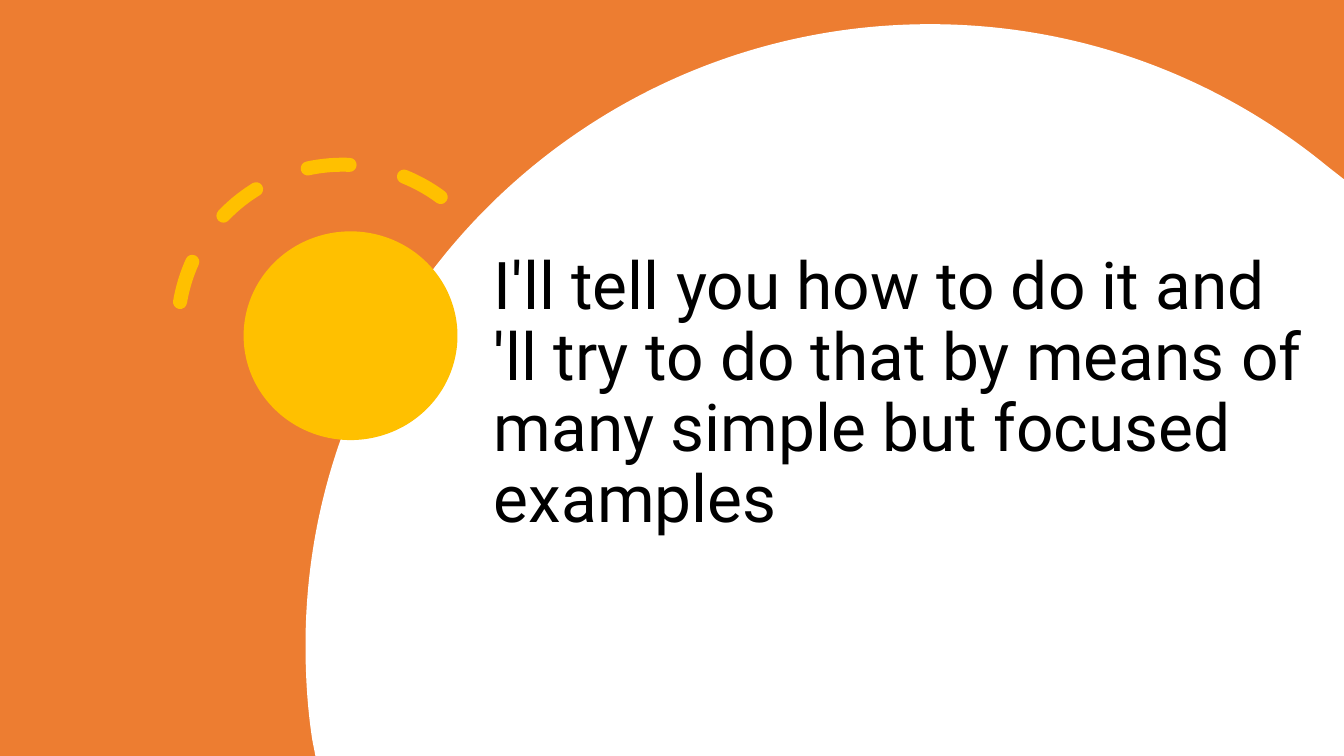
import pptx
import pptx.dml.color
import pptx.enum.dml
import pptx.enum.shapes
import pptx.enum.text
import pptx.oxml.ns
import pptx.util

Cm = pptx.util.Cm
Pt = pptx.util.Pt
SHAPE = pptx.enum.shapes.MSO_SHAPE
WIDTH, HEIGHT = 33.87, 19.05
ORANGE, GOLD, WHITE, BLACK = "ED7D31", "FFC000", "FFFFFF", "000000"


def rgb(value):
    return pptx.dml.color.RGBColor.from_string(value)


def apply(target, values):
    for name, value in values.items():
        setattr(target, name, value)


class Deck:
    font = {"name": "Roboto", "size": Pt(47), "bold": False}
    paragraph = {"alignment": pptx.enum.text.PP_ALIGN.LEFT, "line_spacing": 0.9}
    frame = {
        "word_wrap": True,
        "auto_size": pptx.enum.text.MSO_AUTO_SIZE.NONE,
        "vertical_anchor": pptx.enum.text.MSO_ANCHOR.BOTTOM,
    }

    def __init__(self, prs):
        self.s = prs.slides.add_slide(prs.slide_layouts[5])

    def paint(self, sp, color):
        sp.shadow.inherit = False
        sp.fill.solid()
        sp.fill.fore_color.rgb = rgb(color)
        sp.line.fill.background()

    def shape(self, kind, box, color):
        sp = self.s.shapes.add_shape(kind, *map(Cm, box))
        self.paint(sp, color)
        return sp

    def curved(self, start, segments, color):
        points = [(Cm(x), Cm(y)) for segment in segments for x, y in segment]
        fb = self.s.shapes.build_freeform(Cm(start[0]), Cm(start[1]))
        fb.add_line_segments(points, close=True)
        sp = fb.convert_to_shape()
        self.paint(sp, color)
        lines = iter(list(sp._element.iter(pptx.oxml.ns.qn("a:lnTo"))))
        for segment in segments:
            first, *rest = [next(lines) for _ in segment]
            if rest:
                first.tag = pptx.oxml.ns.qn("a:cubicBezTo")
            for line in rest:
                first.append(line[0])
                line.getparent().remove(line)

    def dashed_arc(self, box, rotation, adjustments):
        sp = self.shape(SHAPE.ARC, box, GOLD)
        sp.fill.background()
        sp.rotation = rotation
        for i, value in enumerate(adjustments):
            sp.adjustments[i] = value
        sp.line.color.rgb = rgb(GOLD)
        apply(sp.line, {"width": Pt(10), "dash_style": pptx.enum.dml.MSO_LINE.DASH})
        sp.line._get_or_add_ln().set("cap", "rnd")

    def title(self, text, box):
        sp = self.s.shapes.title
        apply(sp, dict(zip(("left", "top", "width", "height"), map(Cm, box))))
        self.s.shapes._spTree.append(sp._element)
        tf = sp.text_frame
        apply(tf, self.frame)
        p = tf.paragraphs[0]
        p.text = text
        apply(p, self.paragraph)
        for r in p.runs:
            apply(r.font, self.font)
            r.font.color.rgb = rgb(BLACK)


def main():
    prs = pptx.Presentation()
    apply(prs, {"slide_width": Cm(WIDTH), "slide_height": Cm(HEIGHT)})
    deck = Deck(prs)
    deck.shape(SHAPE.RECTANGLE, (0, 0, WIDTH, HEIGHT), ORANGE)
    disc_top = (23.44, 0.61)
    disc_outline = [
        [(27.25, 0.61), (30.73, 1.96), (33.45, 4.19)],
        [(WIDTH, 4.52)],
        [(WIDTH, HEIGHT)],
        [(7.95, HEIGHT)],
        [(7.87, 18.64)],
        [(7.75, 17.86), (7.7, 17.07), (7.7, 16.26)],
        [(7.7, 7.62), (14.76, 0.61), disc_top],
    ]
    deck.curved(disc_top, disc_outline, WHITE)
    deck.shape(SHAPE.OVAL, (6.14, 5.83, 5.39, 5.26), GOLD)
    deck.dashed_arc((4.48, 4.15, 8.31, 8.31), 308.7, (144.56, 2.28))
    deck.title(
        "I'll tell you how to do it and \v"
        "'ll try to do that by means of many simple but focused examples",
        (12.19, 6.01, 21.23, 7.64),
    )
    prs.save("out.pptx")


if __name__ == "__main__":
    main()
